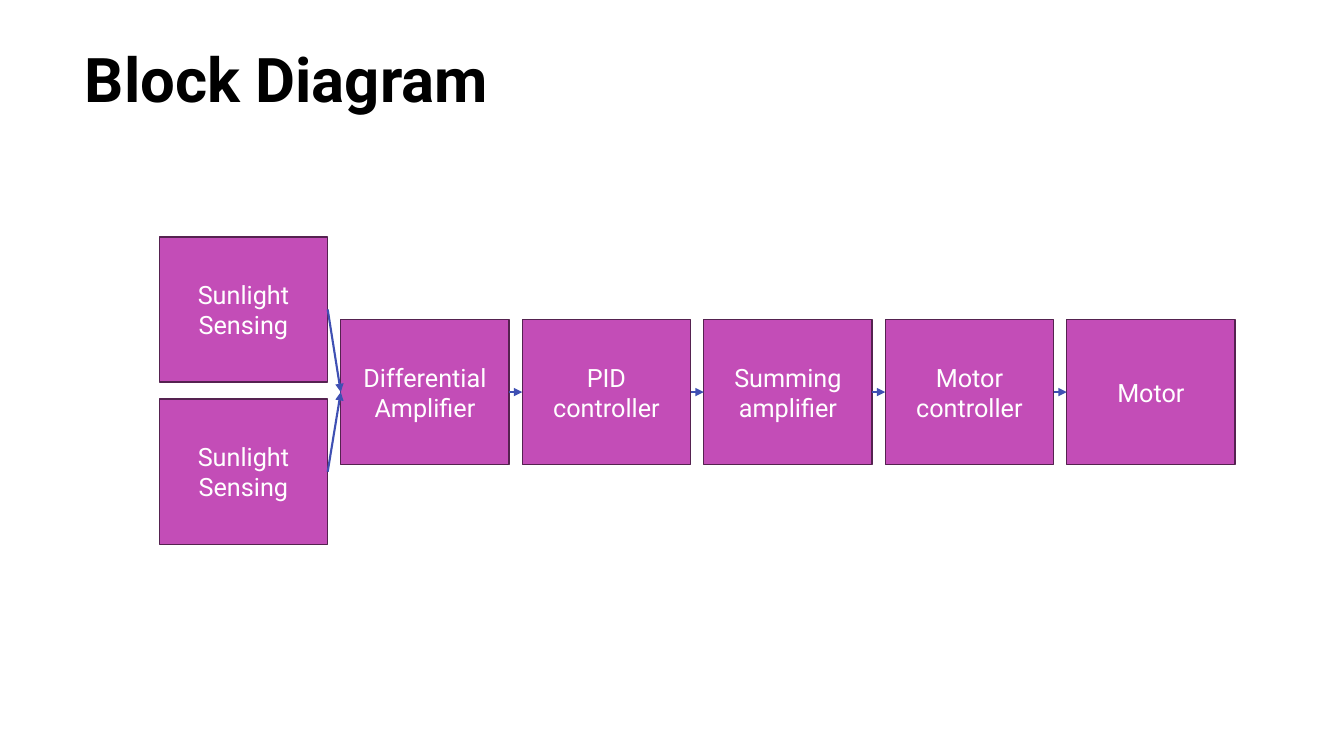
from pptx import Presentation
from pptx.dml.color import RGBColor
from pptx.enum.shapes import MSO_CONNECTOR as Connector, MSO_SHAPE as Shape
from pptx.enum.text import MSO_ANCHOR as Anchor, PP_ALIGN as Align
from pptx.oxml.ns import qn
from pptx.util import Inches, Pt
from lxml.etree import SubElement

COLORS = {"title": "000000", "block": "C34DB7", "border": "552250",
          "label": "FFFFFF", "arrow": "3F50B3"}
FONT = "Roboto"
GRID_LEFT, COLUMN_STEP = 1.58, 1.8
BLOCK_WIDTH, BLOCK_HEIGHT = 1.67, 1.44
SENSOR_TOPS = (2.35, 3.96)
CHAIN_TOP = 3.17
LEFT_SITE, RIGHT_SITE = 1, 3


def add_block(label, column, top):
    block = slide.shapes.add_shape(
        Shape.RECTANGLE, Inches(GRID_LEFT + column * COLUMN_STEP), Inches(top),
        Inches(BLOCK_WIDTH), Inches(BLOCK_HEIGHT))
    block.shadow.inherit = False
    block.fill.solid()
    block.fill.fore_color.rgb = RGBColor.from_string(COLORS["block"])
    block.line.color.rgb = RGBColor.from_string(COLORS["border"])
    block.line.width = Pt(1)
    frame = block.text_frame
    frame.word_wrap = True
    frame.vertical_anchor = Anchor.MIDDLE
    frame.text = label
    paragraph = frame.paragraphs[0]
    paragraph.alignment = Align.CENTER
    paragraph.font.name = FONT
    paragraph.font.size = Pt(18)
    paragraph.font.color.rgb = RGBColor.from_string(COLORS["label"])
    return block


def add_arrow(source, target):
    arrow = slide.shapes.add_connector(Connector.STRAIGHT, 0, 0, 0, 0)
    arrow.begin_connect(source, RIGHT_SITE)
    arrow.end_connect(target, LEFT_SITE)
    arrow.line.color.rgb = RGBColor.from_string(COLORS["arrow"])
    arrow.line.width = Pt(1.5)
    SubElement(arrow.line._get_or_add_ln(), qn("a:tailEnd"), type="triangle")
    SubElement(arrow._element.spPr, qn("a:effectLst"))


deck = Presentation()
deck.slide_width, deck.slide_height = Inches(13.33), Inches(7.5)
slide = deck.slides.add_slide(deck.slide_layouts[5])

title = slide.shapes.title
title.left, title.top = Inches(0.74), Inches(0.16)
title.width, title.height = Inches(9.72), Inches(1.04)
title.text_frame.text = "Block Diagram"
title.text_frame.vertical_anchor = Anchor.BOTTOM
heading = title.text_frame.paragraphs[0]
heading.alignment = Align.LEFT
heading.line_spacing = 0.9
heading.font.name = FONT
heading.font.size = Pt(44)
heading.font.bold = True
heading.font.color.rgb = RGBColor.from_string(COLORS["title"])

sensors = [add_block("Sunlight Sensing", 0, top) for top in SENSOR_TOPS]
stages = ["Differential Amplifier", "PID controller", "Summing amplifier",
          "Motor controller", "Motor"]
chain = [add_block(stage, column, CHAIN_TOP)
         for column, stage in enumerate(stages, start=1)]

for sensor in sensors:
    add_arrow(sensor, chain[0])
for source, target in zip(chain, chain[1:]):
    add_arrow(source, target)

deck.save("out.pptx")
